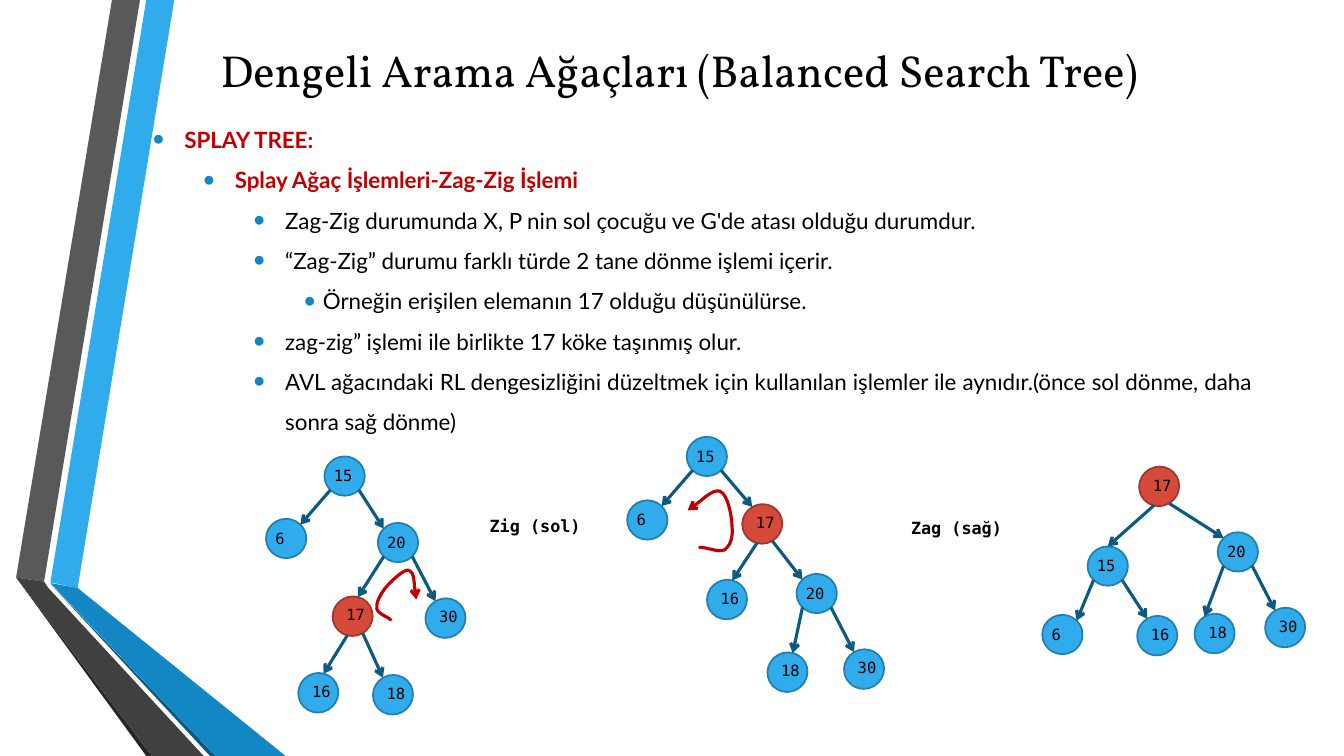
from math import cos, radians, sin

from lxml import etree
from pptx import Presentation
from pptx.dml.color import RGBColor
from pptx.enum.shapes import MSO_CONNECTOR, MSO_SHAPE
from pptx.enum.text import MSO_ANCHOR, MSO_AUTO_SIZE, PP_ALIGN
from pptx.oxml.ns import qn
from pptx.util import Pt

STRAIGHT, ELLIPSE = MSO_CONNECTOR.STRAIGHT, MSO_SHAPE.OVAL
TOP, MIDDLE, NO_FIT = MSO_ANCHOR.TOP, MSO_ANCHOR.MIDDLE, MSO_AUTO_SIZE.NONE
LEFT, CENTER, JUSTIFY = PP_ALIGN.LEFT, PP_ALIGN.CENTER, PP_ALIGN.JUSTIFY

BLACK = RGBColor(0x00, 0x00, 0x00)
RED = RGBColor(0xC0, 0x00, 0x00)
SKY = RGBColor(0x30, 0xAC, 0xEC)
SKY_EDGE = RGBColor(0x24, 0x7F, 0xAF)
CORAL = RGBColor(0xD6, 0x4A, 0x3B)
CORAL_EDGE = RGBColor(0x9E, 0x37, 0x2C)
OCEAN = RGBColor(0x12, 0x87, 0xC3)
NAVY = RGBColor(0x0C, 0x5A, 0x82)
GREY = RGBColor(0x59, 0x59, 0x59)
DARK_GREY = RGBColor(0x40, 0x40, 0x40)
CHARCOAL = RGBColor(0x26, 0x26, 0x26)

SERIF, SANS, MONO = "Vollkorn", "Lato", "DejaVu Sans Mono"
NODE_W, NODE_H = 28.8, 28.1
TILT = 29.7
TILTED = {16, 17, 18, 30}
ACCESSED = 17

# Folded ribbon, from back to front
RIBBON = [
    (SKY, [(36, 416), (55.5, 420), (124.5, 0), (104.5, 0)]),
    (GREY, [(100, 0), (80, 0), (11.5, 412.5), (31.5, 415.5)]),
    (CHARCOAL, [(11.5, 412.5), (104.5, 540), (108.5, 540)]),
    (NAVY, [(36, 417), (150, 540), (154, 540)]),
    (OCEAN, [(36, 416.5), (154, 540), (204, 540), (55.5, 420)]),
    (DARK_GREY, [(145.5, 540), (34.5, 420), (31.5, 415.5), (11.5, 412.5), (108.5, 540)]),
]

# Level, text
OUTLINE = [
    (0, "SPLAY TREE: "),
    (1, "Splay Ağaç İşlemleri-Zag-Zig İşlemi"),
    (2, "Zag-Zig durumunda X, P nin sol çocuğu ve G'de atası olduğu durumdur."),
    (2, "“Zag-Zig” durumu farklı türde 2 tane dönme işlemi içerir."),
    (3, "Örneğin erişilen elemanın 17 olduğu düşünülürse."),
    (2, "zag-zig” işlemi ile birlikte 17 köke taşınmış olur."),
    (2, "AVL ağacındaki RL dengesizliğini düzeltmek için kullanılan işlemler ile "
        "aynıdır.(önce sol dönme, daha sonra sağ dönme)"),
]
INDENTS = [(22.5, 22.5), (58.5, 22.5), (94.5, 22.5), (121.5, 13.5)]

# Keys with their places in the tree's box, (parent, left child, right child),
# Bezier points of the turn, and entry angles that differ from the rule
BEFORE = dict(
    nodes={15: (41.8, 0), 6: (0, 44.6), 20: (79.9, 47.5), 17: (47.5, 100.1),
           30: (113.8, 101.5), 16: (23, 154.8), 18: (76.3, 156.2)},
    families=[(15, 6, 20), (20, 17, 30), (17, 16, 18)],
    turn=[(89.3, 117.4), (89.3, 115.2), (79.9, 113), (79.2, 108.7), (78.5, 104.4),
          (81.4, 99.4), (85, 94.3), (88.6, 90), (98.6, 79.9), (102.2, 81.4),
          (105.8, 82.8), (106.6, 98.6), (107.3, 102.2)])
AFTER_ZIG = dict(
    nodes={15: (42.5, 0), 6: (0, 45.4), 17: (82.1, 48.2), 16: (56.9, 102.2),
           20: (121, 97.9), 18: (100.1, 154.1), 30: (154.8, 151.9)},
    families=[(15, 6, 17), (17, 16, 20), (20, 18, 30)],
    turn=[(51.1, 79.2), (54, 77.8), (66.2, 83.5), (69.8, 80.6), (74.2, 77),
          (75.6, 71.3), (74.9, 64.1), (74.9, 57.6), (72, 41), (66.2, 38.9),
          (61.2, 37.4), (47.5, 50.4), (43.2, 52.6)])
AFTER_ZAG = dict(
    nodes={17: (69.1, 0), 15: (32.4, 56.9), 6: (0, 105.8), 16: (67.7, 106.6),
           20: (125.3, 46.8), 18: (108.7, 105.1), 30: (159.1, 100.8)},
    families=[(17, 15, 20), (15, 6, 16), (20, 18, 30)],
    entries={15: 90, 18: 120})


def write(paragraph, text, font=MONO, size=11, color=BLACK, bold=False, align=LEFT):
    paragraph.alignment = align
    run = paragraph.add_run()
    run.text = text
    run.font.name, run.font.size, run.font.bold = font, Pt(size), bold
    run.font.color.rgb = color


def place(part, x, y, width, height):
    part.left, part.top, part.width, part.height = Pt(x), Pt(y), Pt(width), Pt(height)


def label(shapes, text, x, y, width, height, **style):
    box = shapes.add_textbox(Pt(x), Pt(y), Pt(width), Pt(height))
    box.text_frame.word_wrap = True
    write(box.text_frame.paragraphs[0], text, **style)


def outline(shapes, points, x, y, close):
    corners = [(Pt(x + px), Pt(y + py)) for px, py in points]
    builder = shapes.build_freeform(*corners[0], scale=1.0)
    builder.add_line_segments(corners[1:], close=close)
    shape = builder.convert_to_shape()
    shape.shadow.inherit = False
    return shape


def arrow_line(part, color):
    part.line.color.rgb, part.line.width = color, Pt(2.25)
    etree.SubElement(part.line._get_or_add_ln(), qn("a:tailEnd"), type="arrow")


def ribbon(slide, x, y):
    group = slide.shapes.add_group_shape()
    for color, points in RIBBON:
        face = outline(group.shapes, points, x, y, True)
        face.fill.solid()
        face.fill.fore_color.rgb = color
        face.line.fill.background()
    slide.shapes._spTree.insert(2, group._element)  # behind the text


def heading(title, x, y, width, height):
    place(title, x, y, width, height)
    title.text_frame.vertical_anchor = MIDDLE
    title.text_frame.auto_size = NO_FIT
    write(title.text_frame.paragraphs[0], "Dengeli Arama Ağaçları (Balanced Search Tree)",
          font=SERIF, size=32, align=CENTER)


def bullet_list(body, x, y, width, height):
    place(body, x, y, width, height)
    frame = body.text_frame
    frame.vertical_anchor, frame.auto_size = TOP, NO_FIT
    for i, (level, text) in enumerate(OUTLINE):
        item = frame.add_paragraph() if i else frame.paragraphs[0]
        leading = level < 2
        write(item, text, font=SANS, size=16, color=RED if leading else BLACK,
              bold=leading, align=JUSTIFY)
        item.level, item.line_spacing = level, 1.5
        item.space_before = item.space_after = Pt(0)
        margin, hang = INDENTS[level]
        props = item._p.get_or_add_pPr()
        props.set("marL", str(Pt(margin)))
        props.set("indent", str(-Pt(hang)))
        tint = etree.SubElement(props, qn("a:buClr"))
        etree.SubElement(tint, qn("a:srgbClr"), val=str(OCEAN))
        etree.SubElement(props, qn("a:buSzPct"), val="145000")
        etree.SubElement(props, qn("a:buFont"), typeface="Arial")
        etree.SubElement(props, qn("a:buChar"), char="•")


def node(shapes, key, x, y):
    tilted = key in TILTED
    circle = shapes.add_shape(ELLIPSE, Pt(x), Pt(y), Pt(NODE_W), Pt(NODE_H))
    circle.shadow.inherit = False
    circle.rotation = 360 - TILT if tilted else 0
    circle.fill.solid()
    circle.fill.fore_color.rgb = CORAL if key == ACCESSED else SKY
    circle.line.color.rgb = CORAL_EDGE if key == ACCESSED else SKY_EDGE
    circle.line.width = Pt(1.25)
    dx, dy, width = (2.8, 2.9, 29.5) if tilted else (-0.4, 3.5, 28)
    label(shapes, str(key), x + dx, y + dy, width, 21)


def rim(corner, angle):
    turn = radians(angle)
    return (corner[0] + NODE_W / 2 * (1 + cos(turn)),
            corner[1] + NODE_H / 2 * (1 - sin(turn)))


def edge(shapes, start, end):
    link = shapes.add_connector(STRAIGHT, *(Pt(v) for v in start + end))
    arrow_line(link, NAVY)
    etree.SubElement(link._element.spPr, qn("a:effectLst"))


def turn_arrow(shapes, points, x, y):
    curve = outline(shapes, points, x, y, False)
    curve.fill.background()
    arrow_line(curve, RED)
    # Every three straight segments become one Bezier segment
    track = next(curve._element.iter(qn("a:moveTo"))).getparent()
    steps = track.findall(qn("a:lnTo"))
    for i in range(0, len(steps), 3):
        bend = etree.SubElement(track, qn("a:cubicBezTo"))
        for step in steps[i:i + 3]:
            bend.append(step[0])
            track.remove(step)


def tree(slide, x, y, nodes, families, turn=(), entries={}):
    shapes = slide.shapes.add_group_shape().shapes
    spots = {key: (x + dx, y + dy) for key, (dx, dy) in nodes.items()}
    for key, spot in spots.items():
        node(shapes, key, *spot)
    for parent, left, right in families:
        exits = (255, 300) if parent in TILTED else (225, 315)
        for side, child in enumerate((left, right)):
            rule = (75, 120) if child in TILTED else (45, 135)
            edge(shapes, rim(spots[parent], exits[side]),
                 rim(spots[child], entries.get(child, rule[side])))
    if turn:
        turn_arrow(shapes, turn, x, y)


deck = Presentation()
deck.slide_width, deck.slide_height = Pt(960), Pt(540)
slide = deck.slides.add_slide(deck.slide_layouts[1])
ribbon(slide, 0, 0)
heading(slide.shapes.title, 111.5, 12, 748, 75)
bullet_list(slide.placeholders[1], 102, 77, 800, 249)

# Rotation steps, left to right
tree(slide, 190, 326, **BEFORE)
label(slide.shapes, "Zig (sol)", 342.7, 365, 94, 21.6, size=12, bold=True)
tree(slide, 448, 312, **AFTER_ZIG)
label(slide.shapes, "Zag (sağ)", 643.7, 366.5, 94, 21.6, size=12, bold=True)
tree(slide, 744.5, 333.4, **AFTER_ZAG)
deck.save("out.pptx")
